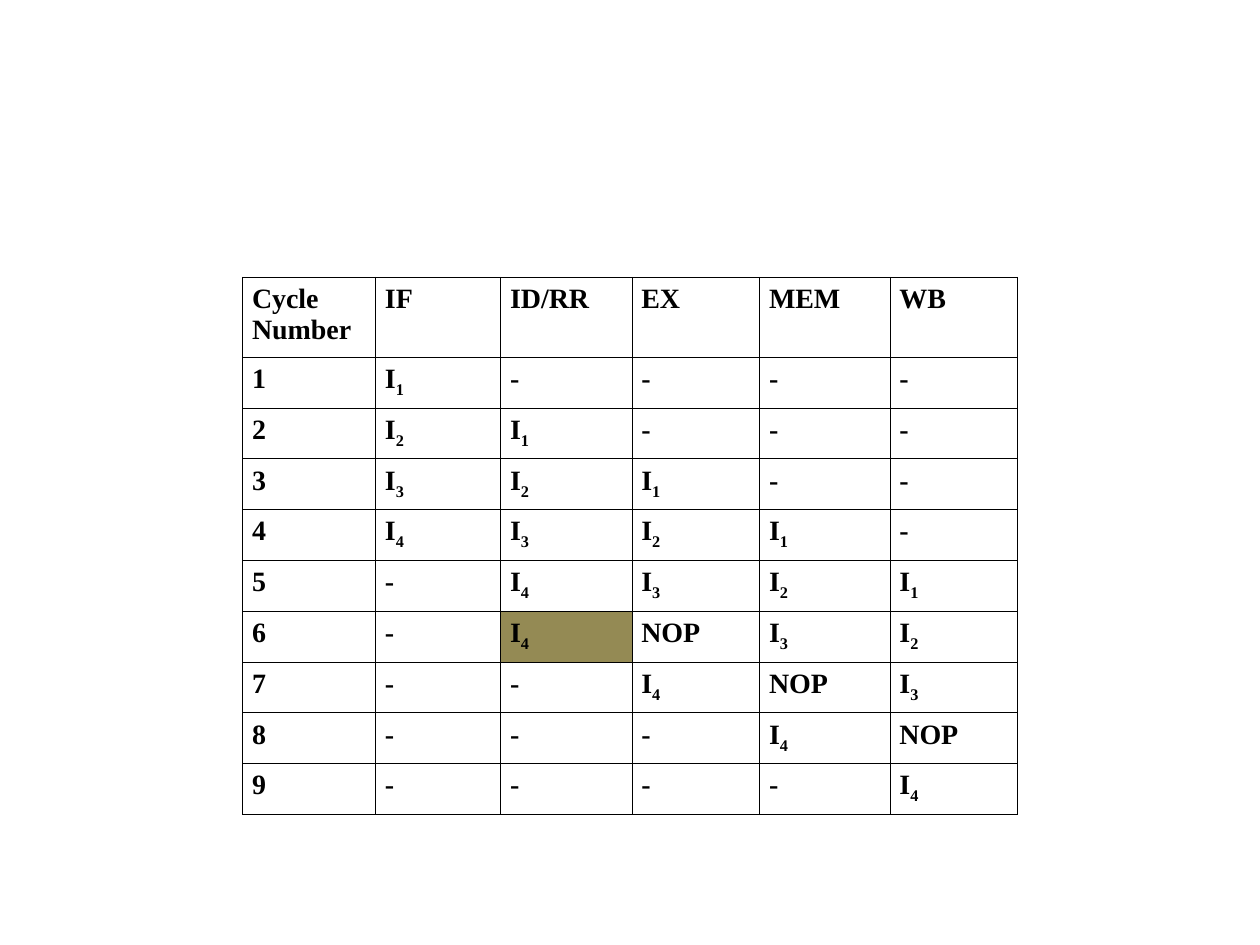
"""Build a slide with the cycle table of a pipeline that stalls in ID/RR."""
from typing import NamedTuple, Optional

import lxml.etree
import pptx
import pptx.dml.color
import pptx.oxml.ns
import pptx.util

Pt = pptx.util.Pt
FONT = "Times New Roman"
BLACK = "000000"
STALL = "948A54"
HEADINGS = ("Cycle Number", "IF", "ID/RR", "EX", "MEM", "WB")
COLUMN_WIDTHS = (76, 71.5, 75, 73, 74.5, 73)
HEADING_HEIGHT = 45.7
CYCLE_HEIGHT = 29.05


class Cycle(NamedTuple):
    number: int
    stages: str
    stalled_column: Optional[int] = None


CYCLES = (
    Cycle(1, "I1 - - - -"),
    Cycle(2, "I2 I1 - - -"),
    Cycle(3, "I3 I2 I1 - -"),
    Cycle(4, "I4 I3 I2 I1 -"),
    Cycle(5, "- I4 I3 I2 I1"),
    Cycle(6, "- I4 NOP I3 I2", stalled_column=2),
    Cycle(7, "- - I4 NOP I3"),
    Cycle(8, "- - - I4 NOP"),
    Cycle(9, "- - - - I4"),
)


def rgb(colour: str) -> pptx.dml.color.RGBColor:
    return pptx.dml.color.RGBColor.from_string(colour)


def add_text(paragraph, text: str, *, size: float = 16, bold: bool = True,
             colour: str = BLACK, baseline: int = 0) -> None:
    run = paragraph.add_run()
    run.text = text
    run.font.name = FONT
    run.font.size = Pt(size)
    run.font.bold = bold
    run.font.color.rgb = rgb(colour)
    if baseline:
        run._r.get_or_add_rPr().set("baseline", str(baseline * 1000))


def add_borders(cell, colour: str = BLACK, width: float = 0.45) -> None:
    qn = pptx.oxml.ns.qn
    properties = cell._tc.get_or_add_tcPr()
    for position, side in enumerate(("lnL", "lnR", "lnT", "lnB")):
        border = lxml.etree.Element(qn(f"a:{side}"), w=str(int(Pt(width))))
        fill = lxml.etree.SubElement(border, qn("a:solidFill"))
        lxml.etree.SubElement(fill, qn("a:srgbClr"), val=colour)
        properties.insert(position, border)


def fill_cell(cell, text: str, fill: Optional[str] = None) -> None:
    cell.margin_left = cell.margin_right = Pt(5.4)
    cell.margin_top = cell.margin_bottom = Pt(3.6)
    if fill:
        cell.fill.solid()
        cell.fill.fore_color.rgb = rgb(fill)
    else:
        cell.fill.background()
    add_borders(cell)
    paragraph = cell.text_frame.paragraphs[0]
    if text[0] == "I" and text[1:].isdigit():
        add_text(paragraph, "I")
        add_text(paragraph, text[1:], baseline=-25)
    else:
        add_text(paragraph, text)


def add_cycle_table(slide) -> None:
    heights = [HEADING_HEIGHT] + [CYCLE_HEIGHT] * len(CYCLES)
    table = slide.shapes.add_table(
        len(heights), len(HEADINGS), Pt(138.6), Pt(158.4),
        Pt(sum(COLUMN_WIDTHS)), Pt(sum(heights))).table
    table.first_row = table.horz_banding = False
    for column, width in zip(table.columns, COLUMN_WIDTHS):
        column.width = Pt(width)
    for row, height in zip(table.rows, heights):
        row.height = Pt(height)
    for column, heading in enumerate(HEADINGS):
        fill_cell(table.cell(0, column), heading)
    for cycle in CYCLES:
        for column, text in enumerate([str(cycle.number), *cycle.stages.split()]):
            fill = STALL if column == cycle.stalled_column else None
            fill_cell(table.cell(cycle.number, column), text, fill)


def main() -> None:
    presentation = pptx.Presentation()
    presentation.slide_width, presentation.slide_height = Pt(720), Pt(540)
    slide = presentation.slides.add_slide(presentation.slide_layouts[6])
    add_cycle_table(slide)
    presentation.save("out.pptx")


if __name__ == "__main__":
    main()
